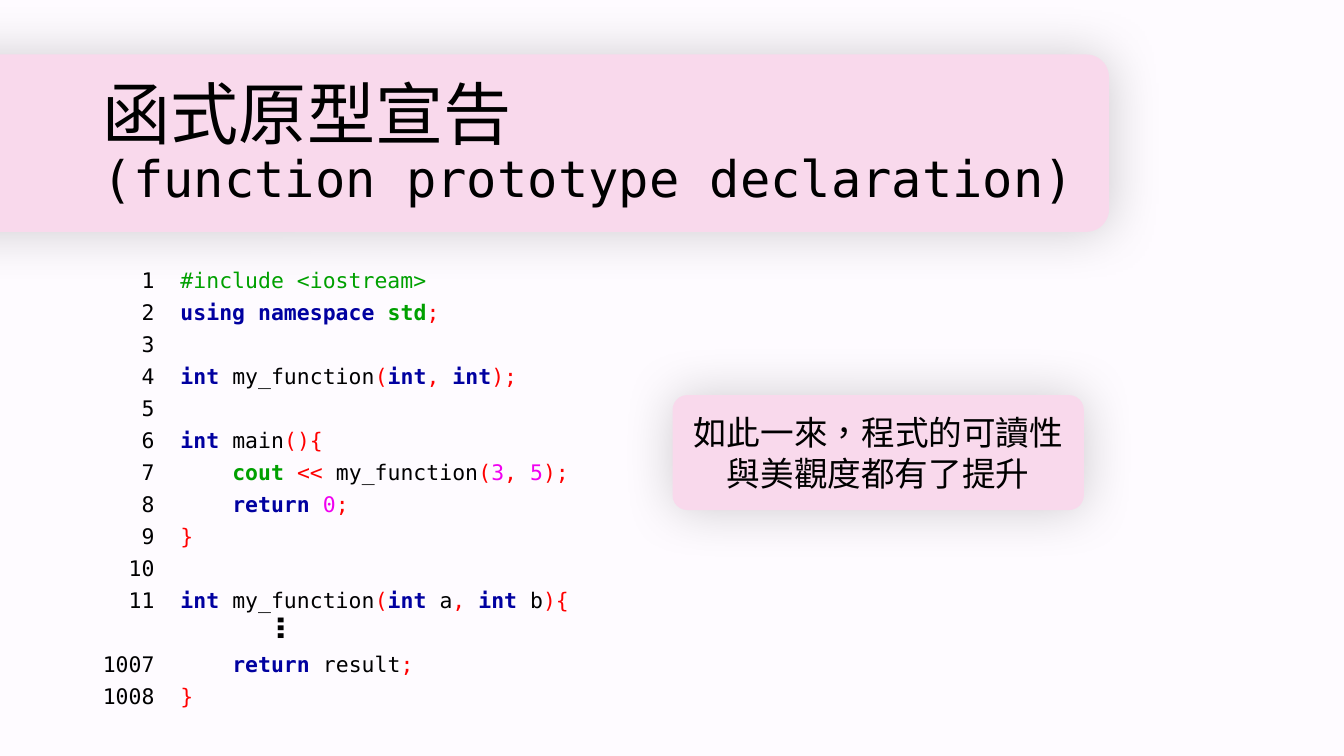
from dataclasses import dataclass
from itertools import groupby

from lxml import etree
from pptx import Presentation
from pptx import util as u
from pptx.dml.color import RGBColor
from pptx.enum import lang, shapes, text
from pptx.oxml.ns import qn


@dataclass(frozen=True)
class Theme:
    font: str = "DejaVu Sans Mono"
    paper: str = "FEFBFF"
    panel: str = "F9D9EC"
    ink: str = "000000"
    keyword: str = "0000A0"
    library: str = "00A000"
    symbol: str = "FF0000"
    number: str = "F000F0"
    title: float = 48.6
    subtitle: float = 36
    callout: float = 24
    dots: float = 28
    code: float = 15.3
    code_gap: float = 10
    skipped_gap: float = 32.9


KEYWORDS = {"using", "namespace", "int", "return"}
LIBRARY = {"std", "cout"}
CODE = [
    (1, "#include <iostream>"),
    (2, "using namespace std;"),
    (3, ""),
    (4, "int my_function(int, int);"),
    (5, ""),
    (6, "int main(){"),
    (7, "    cout << my_function(3, 5);"),
    (8, "    return 0;"),
    (9, "}"),
    (10, ""),
    (11, "int my_function(int a, int b){"),
    (1007, "    return result;"),
    (1008, "}"),
]


def add_text(p, value, theme, size, color=None, bold=False, chinese=False):
    r = p.add_run()
    r.text = value
    f = r.font
    f.name, f.size, f.bold = theme.font, u.Pt(size), bold
    f.color.rgb = RGBColor.from_string(color or theme.ink)
    if chinese:
        f.language_id = lang.MSO_LANGUAGE_ID.TRADITIONAL_CHINESE
    f.fill
    ea = etree.Element(qn("a:ea"), typeface=theme.font)
    r._r.get_or_add_rPr().find(qn("a:latin")).addnext(ea)
    return r


def token_style(token, theme):
    word = token.strip()
    if word in KEYWORDS:
        return theme.keyword, True
    if word in LIBRARY:
        return theme.library, True
    if word.isdigit():
        return theme.number, False
    if word.isidentifier():
        return theme.ink, False
    return theme.symbol, False


def highlight(line, theme):
    if line.startswith("#"):
        return [(line, theme.library, False)]
    tokens = []
    for kind, chars in groupby(line, lambda c: "space" if c == " " else c.isalnum() or c == "_"):
        part = "".join(chars)
        if kind == "space" and tokens:
            tokens[-1] += part
        else:
            tokens.append(part)
    styled = [(t, *token_style(t, theme)) for t in tokens]
    return [("".join(t[0] for t in run), *style)
            for style, run in groupby(styled, lambda t: t[1:])]


class Deck:
    def __init__(self, theme):
        self.theme = theme
        self.prs = Presentation()
        self.prs.slide_width, self.prs.slide_height = u.Inches(13.33), u.Inches(7.5)
        self.slide = self.prs.slides.add_slide(self.prs.slide_layouts[1])
        fill = self.slide.background.fill
        fill.solid()
        fill.fore_color.rgb = RGBColor.from_string(theme.paper)

    def box(self, x, y, w, h):
        width, height = self.prs.slide_width, self.prs.slide_height
        return [int(share * side / 100)
                for share, side in zip((x, y, w, h), (width, height) * 2)]

    def place(self, sp, *area):
        sp.left, sp.top, sp.width, sp.height = self.box(*area)
        tf = sp.text_frame
        tf.word_wrap, tf.auto_size = True, text.MSO_AUTO_SIZE.NONE
        return tf

    def panel(self, *area):
        sp = self.slide.shapes.add_shape(shapes.MSO_SHAPE.ROUNDED_RECTANGLE, *self.box(*area))
        sp.adjustments[0] = 0.128
        sp.fill.solid()
        sp.fill.fore_color.rgb = RGBColor.from_string(self.theme.panel)
        sp.line.fill.background()
        sp.shadow.inherit = False
        effects = sp._element.spPr.find(qn("a:effectLst"))
        glow = etree.SubElement(effects, qn("a:outerShdw"), blurRad=str(u.Pt(38)),
                                dist="0", dir="0", algn="ctr", rotWithShape="0")
        color = etree.SubElement(glow, qn("a:srgbClr"), val=self.theme.ink)
        etree.SubElement(color, qn("a:alpha"), val="19000")
        return sp

    def title(self, heading, subtitle, bar, area):
        tree = self.slide.shapes._spTree
        tree.insert(2, self.panel(*bar)._element)
        tf = self.place(self.slide.shapes.title, *area)
        tf.vertical_anchor = text.MSO_ANCHOR.MIDDLE
        p = tf.paragraphs[0]
        p.alignment, p.line_spacing = text.PP_ALIGN.LEFT, 0.9
        add_text(p, heading, self.theme, self.theme.title, chinese=True)
        p.add_line_break()
        add_text(p, subtitle, self.theme, self.theme.subtitle)

    def code(self, lines, *area):
        tf = self.place(self.slide.placeholders[1], *area)
        previous = 0
        for number, line in lines:
            p = tf.paragraphs[0] if previous == 0 else tf.add_paragraph()
            pPr = p._p.get_or_add_pPr()
            pPr.set("marL", "0")
            pPr.set("indent", "0")
            etree.SubElement(pPr, qn("a:buNone"))
            gap = self.theme.code_gap if number == previous + 1 else self.theme.skipped_gap
            p.space_before = u.Pt(gap if previous else 0)
            p.line_spacing = 0.7
            body = line.lstrip()
            indent = line[:len(line) - len(body)]
            label = f"{number:>4}  {indent}" if body else f"{number:>4}"
            add_text(p, label, self.theme, self.theme.code)
            for value, color, bold in highlight(body, self.theme):
                add_text(p, value, self.theme, self.theme.code, color=color, bold=bold)
            previous = number

    def dots(self, *area):
        sp = self.slide.shapes.add_textbox(*self.box(*area))
        sp.rotation = 90
        sp.text_frame.word_wrap = True
        add_text(sp.text_frame.paragraphs[0], "…", self.theme, self.theme.dots)

    def callout(self, message, *area):
        tf = self.panel(*area).text_frame
        tf.word_wrap, tf.vertical_anchor = True, text.MSO_ANCHOR.MIDDLE
        p = tf.paragraphs[0]
        p.alignment = text.PP_ALIGN.CENTER
        add_text(p, message, self.theme, self.theme.callout, chinese=True)


def main():
    deck = Deck(Theme())
    deck.title("函式原型宣告", "(function prototype declaration)",
               bar=(-11.78, 7.2, 94.3, 23.47), area=(6.9, 9.47, 86.27, 19.33))
    deck.code(CODE, 6.9, 35.6, 82.15, 59.87)
    deck.dots(17.33, 84.4, 9, 7.6)
    deck.callout("如此一來，程式的可讀性與美觀度都有了提升", 50.04, 52.27, 30.6, 15.2)
    deck.prs.save("out.pptx")


if __name__ == "__main__":
    main()
